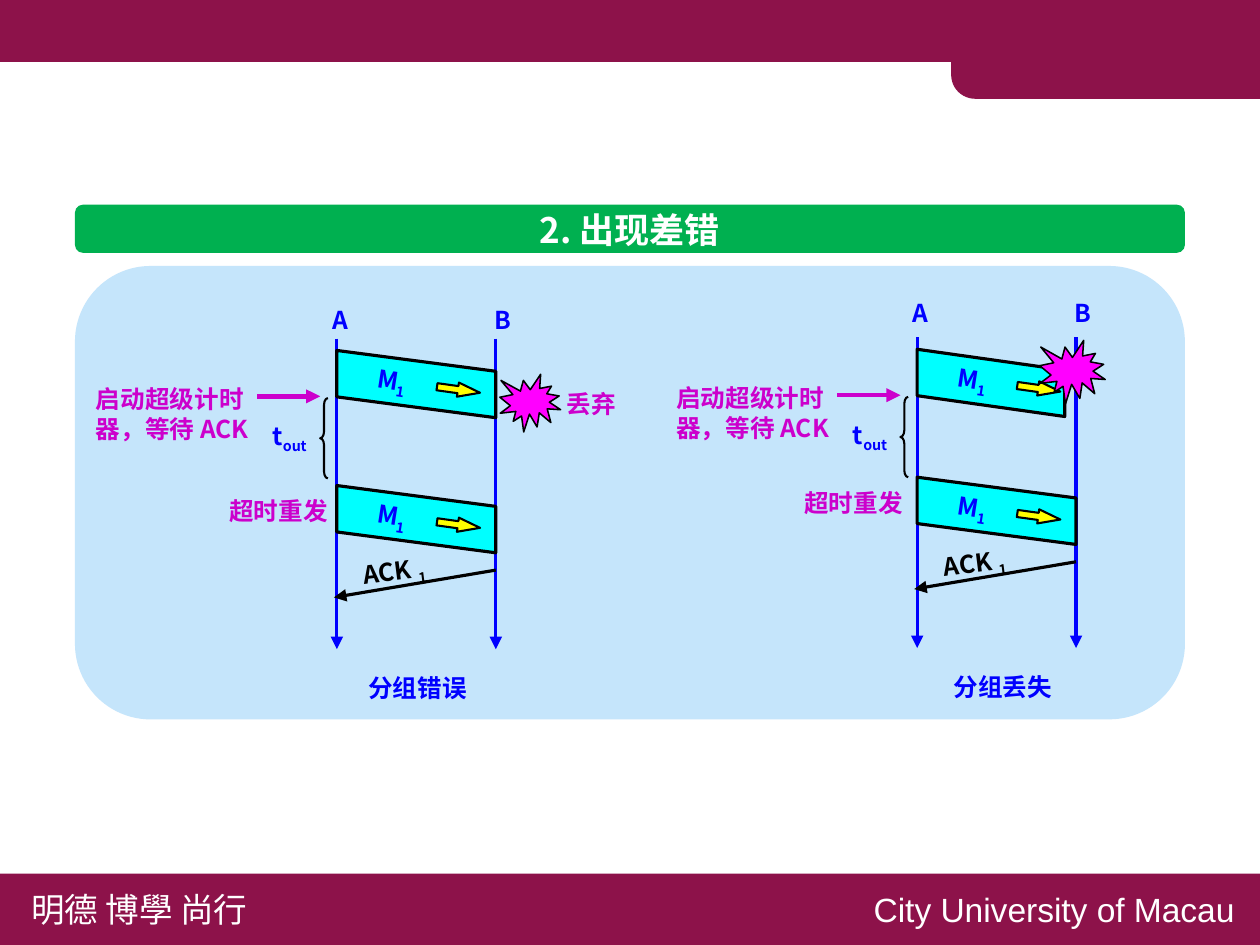
from dataclasses import dataclass

from lxml import etree
from pptx import Presentation
from pptx.dml.color import RGBColor
from pptx.enum.shapes import MSO_CONNECTOR, MSO_SHAPE
from pptx.enum.text import MSO_AUTO_SIZE, PP_ALIGN
from pptx.oxml.ns import qn
from pptx.util import Cm, Pt

STRAIGHT = MSO_CONNECTOR.STRAIGHT
RECTANGLE = MSO_SHAPE.RECTANGLE
ROUNDED = MSO_SHAPE.ROUNDED_RECTANGLE
ONE_ROUND_CORNER = MSO_SHAPE.ROUND_1_RECTANGLE
RIGHT_ARROW = MSO_SHAPE.RIGHT_ARROW
LEFT_BRACE = MSO_SHAPE.LEFT_BRACE
BURST = MSO_SHAPE.EXPLOSION1
FIT_TEXT = MSO_AUTO_SIZE.SHAPE_TO_FIT_TEXT
LEFT, CENTER = PP_ALIGN.LEFT, PP_ALIGN.CENTER


@dataclass(frozen=True)
class Theme:
    """Colours, fonts and type sizes of the slide."""
    maroon: str = "8D124A"
    green: str = "00B050"
    panel: str = "C5E5FB"
    blue: str = "0000FF"
    cyan: str = "00FFFF"
    yellow: str = "FFFF00"
    magenta: str = "FF00FF"
    purple: str = "CC00CC"
    black: str = "000000"
    white: str = "FFFFFF"
    chinese_font: str = "Noto Sans CJK SC"
    latin_font: str = "Arial"
    footer_size: float = 16
    title_size: float = 16.7
    label_size: float = 11.7


@dataclass(frozen=True)
class Scenario:
    """What differs between the two timing diagrams, in cm from lifeline A's top."""
    caption: str
    caption_left: float
    label_top: float
    packet_width: float
    resend_top: float
    resend_label_left: float
    burst: tuple
    burst_label: str = ""


THEME = Theme()
SLIDE_WIDTH, SLIDE_HEIGHT = 21.17, 15.88
LIFELINE_GAP, LIFELINE_LENGTH = 2.67, 5.22
WIDE_INSETS, NARROW_INSETS = (0.25, 0.13), (0.2, 0.1)


def color(value):
    """Turn a hex string into a colour."""
    return RGBColor.from_string(value)


def paint(shape, fill=None, line=None, weight=1):
    """Set fill and outline, and take the shadow off."""
    shape.shadow.inherit = False
    if fill:
        shape.fill.solid()
        shape.fill.fore_color.rgb = color(fill)
    else:
        shape.fill.background()
    if line:
        shape.line.color.rgb = color(line)
        shape.line.width = Pt(weight)
    else:
        shape.line.fill.background()


def add_block(slide, kind, box, fill=None, line=None, weight=1, adjustments=(), rotation=0):
    """Add a preset shape in a box given in cm."""
    shape = slide.shapes.add_shape(kind, *map(Cm, box))
    for index, value in enumerate(adjustments):
        shape.adjustments[index] = value
    shape.rotation = rotation
    paint(shape, fill, line, weight)


def add_arrow(slide, start, end, line, weight=1.5):
    """Add a straight arrow between two points in cm."""
    connector = slide.shapes.add_connector(STRAIGHT, *map(Cm, start + end))
    connector.line.color.rgb = color(line)
    connector.line.width = Pt(weight)
    etree.SubElement(connector.line._get_or_add_ln(), qn("a:tailEnd"), type="triangle")
    etree.SubElement(connector._element.spPr, qn("a:effectLst"))


def add_text(slide, box, text, ink, subscript="", size=THEME.label_size, bold=True,
             font=THEME.chinese_font, insets=WIDE_INSETS, wrap=False, align=LEFT, rotation=0):
    """Add one paragraph of text with an optional subscript."""
    shape = slide.shapes.add_textbox(*map(Cm, box))
    shape.rotation = rotation
    frame = shape.text_frame
    frame.margin_left = frame.margin_right = Cm(insets[0])
    frame.margin_top = frame.margin_bottom = Cm(insets[1])
    frame.word_wrap = wrap
    frame.auto_size = FIT_TEXT
    paragraph = frame.paragraphs[0]
    paragraph.alignment = align
    for words, baseline in ((text, None), (subscript, "-25000")):
        if not words:
            continue
        run = paragraph.add_run()
        run.text = words
        run.font.size = Pt(size)
        run.font.bold = bold
        run.font.color.rgb = color(ink)
        run.font.name = font
        properties = run._r.get_or_add_rPr()
        etree.SubElement(properties, qn("a:ea"), typeface=font)
        if baseline:
            properties.set("baseline", baseline)


def add_frame(slide):
    """Draw the header band with its tab, and the footer band with its two texts."""
    add_block(slide, RECTANGLE, (0, 0, SLIDE_WIDTH, 1.04), THEME.maroon)
    add_block(slide, ONE_ROUND_CORNER, (15.98, 0.05, SLIDE_WIDTH - 15.98, 1.61),
              THEME.maroon, adjustments=(0.25,), rotation=180)
    footer_top = 14.68
    add_block(slide, RECTANGLE, (0, footer_top, SLIDE_WIDTH, SLIDE_HEIGHT - footer_top), THEME.maroon)
    for left, width, text, font in ((0.28, 4.27, "明德 博學 尚行", THEME.chinese_font),
                                    (14.43, 6.65, "City University of Macau", THEME.latin_font)):
        add_text(slide, (left, footer_top + 0.13, width, 0.94), text, THEME.white,
                 size=THEME.footer_size, bold=False, font=font, wrap=True)


def add_title_panel(slide, left, top, width):
    """Draw the title bar and the panel below it."""
    add_block(slide, ROUNDED, (left, top, width, 0.81), THEME.green, adjustments=(0.167,))
    add_text(slide, (left, top - 0.07, width, 0.96), "2. 出现差错", THEME.white,
             size=THEME.title_size, wrap=True, align=CENTER)
    add_block(slide, ROUNDED, (left, top + 1.03, width, 7.62), THEME.panel)


def add_packet(slide, left, top, width):
    """Draw a slanted packet with its name and direction arrow."""
    slope, height = 0.35, 0.78
    builder = slide.shapes.build_freeform(Cm(left), Cm(top))
    builder.add_line_segments([(Cm(left + width), Cm(top + slope)),
                               (Cm(left + width), Cm(top + slope + height)),
                               (Cm(left), Cm(top + height))])
    paint(builder.convert_to_shape(), THEME.cyan, THEME.black, 1.5)
    add_block(slide, RIGHT_ARROW, (left + 1.68, top + 0.54, 0.73, 0.24), THEME.yellow,
              THEME.black, adjustments=(0.5, 1.56), rotation=8)
    add_text(slide, (left + 0.48, top + 0.16, 1.02, 0.71), "M", THEME.blue, "1",
             insets=NARROW_INSETS, rotation=9)


def add_timer(slide, left, top):
    """Draw the timer note, its arrow, and the timeout brace left of lifeline A."""
    add_text(slide, (left - 4.3, top + 0.64, 3.28, 1.24), "启动超级计时器，等待 ACK",
             THEME.purple, wrap=True)
    add_arrow(slide, (left - 1.34, top + 0.97), (left - 0.28, top + 0.97), THEME.purple, 2.25)
    add_block(slide, LEFT_BRACE, (left - 0.28, top + 1, 0.13, 1.35), line=THEME.black,
              adjustments=(0.87, 0.5))
    add_text(slide, (left - 1.33, top + 1.25, 1.17, 0.76), "t", THEME.blue, "out", wrap=True)


def add_scenario(slide, left, top, scenario):
    """Draw one timing diagram from the top of its lifeline A."""
    right = left + LIFELINE_GAP
    for name, x, label_left in (("A", left, -0.28), ("B", right, -0.22)):
        add_arrow(slide, (x, top), (x, top + LIFELINE_LENGTH), THEME.blue)
        add_text(slide, (x + label_left, top + scenario.label_top, 0.72, 0.71), name,
                 THEME.blue, insets=NARROW_INSETS)
    resend_top = top + scenario.resend_top
    add_packet(slide, left, top + 0.2, scenario.packet_width)
    add_packet(slide, left, resend_top, LIFELINE_GAP)
    add_arrow(slide, (right, resend_top + 1.42), (left - 0.05, resend_top + 1.88), THEME.black)
    add_text(slide, (left + 0.19, resend_top + 1.05, 1.68, 0.76), "ACK ", THEME.black, "1",
             rotation=352.8)
    add_text(slide, (left + scenario.resend_label_left, resend_top + 0.05, 2.16, 0.76),
             "超时重发", THEME.purple)
    burst_left, burst_top, burst_width, burst_height = scenario.burst
    add_block(slide, BURST, (left + burst_left, top + burst_top, burst_width, burst_height),
              THEME.magenta, THEME.black, 0.75)
    if scenario.burst_label:
        add_text(slide, (left + burst_left + 0.92, top + burst_top + 0.15, 1.24, 0.71),
                 scenario.burst_label, THEME.purple, insets=NARROW_INSETS, align=CENTER)
    add_timer(slide, left, top)
    add_text(slide, (left + scenario.caption_left, top + 5.49, 2.16, 0.76),
             scenario.caption, THEME.blue)


def main():
    """Build the slide and save it."""
    presentation = Presentation()
    presentation.slide_width, presentation.slide_height = Cm(SLIDE_WIDTH), Cm(SLIDE_HEIGHT)
    slide = presentation.slides.add_slide(presentation.slide_layouts[6])
    add_frame(slide)
    add_title_panel(slide, 1.26, 3.44, 18.65)
    add_scenario(slide, 5.66, 5.69, Scenario("分组错误", 0.28, -0.66, LIFELINE_GAP, 2.47, -2.06,
                                             (2.74, 0.6, 1.02, 0.97), "丢弃"))
    add_scenario(slide, 15.41, 5.67, Scenario("分组丢失", 0.36, -0.77, 2.48, 2.35, -2.15,
                                              (2.06, 0.05, 1.1, 1.07)))
    presentation.save("out.pptx")


if __name__ == "__main__":
    main()
